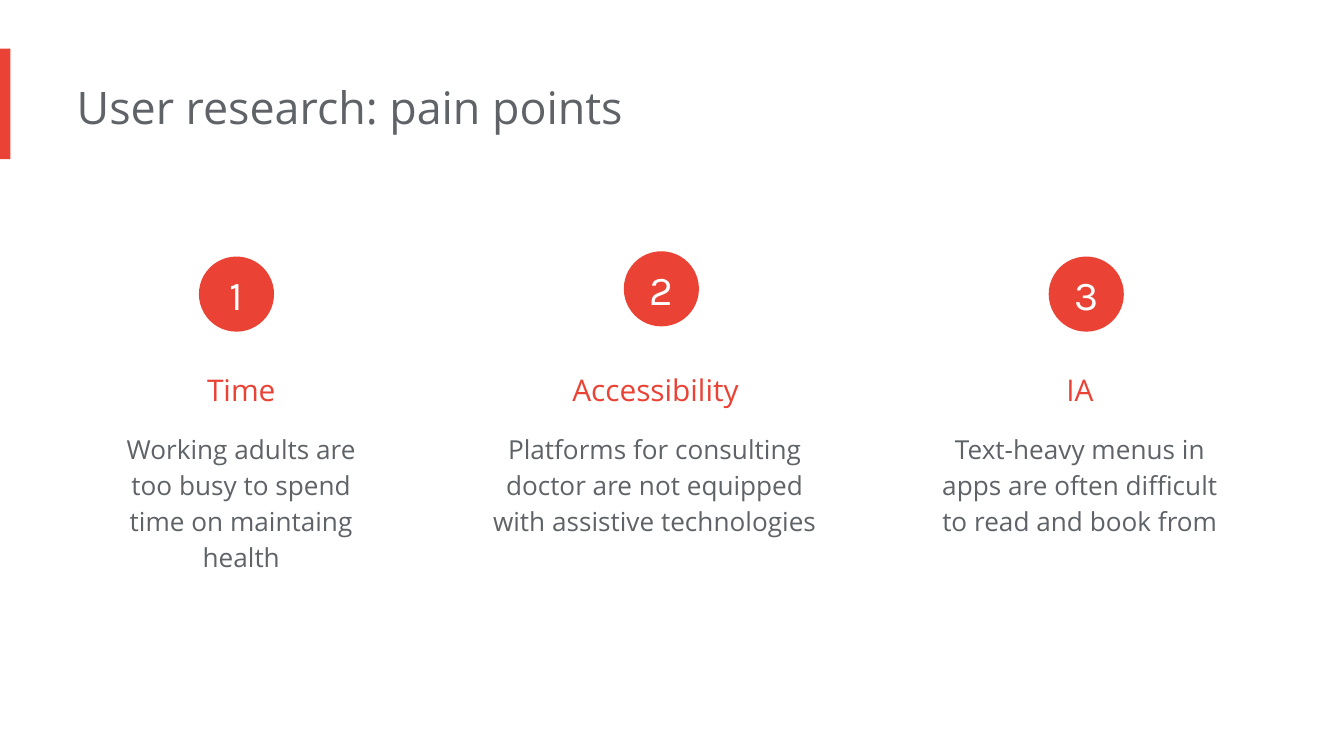
from pptx import Presentation
from pptx.dml.color import RGBColor
from pptx.enum.shapes import MSO_SHAPE as SHAPE
from pptx.enum.text import MSO_ANCHOR as ANCHOR, MSO_AUTO_SIZE as FIT, PP_ALIGN as ALIGN
from pptx.util import Cm, Pt

COLORS = {"accent": "EA4335", "text": "5F6368", "white": "FFFFFF"}


class Deck:
    """Holds the style and the current slide."""

    font = "Open Sans"
    number_font = "Karla"

    def __init__(self, prs):
        self.s = prs.slides.add_slide(prs.slide_layouts[6])

    def color(self, name):
        return RGBColor.from_string(COLORS[name])

    def style(self, p, size, color, font, align):
        p.alignment = align
        p.font.size = Pt(size)
        p.font.name = font
        p.font.color.rgb = self.color(color)

    def shape(self, kind, x, y, w, h):
        sp = self.s.shapes.add_shape(kind, Cm(x), Cm(y), Cm(w), Cm(h))
        sp.shadow.inherit = False
        sp.fill.solid()
        sp.fill.fore_color.rgb = self.color("accent")
        sp.line.fill.background()
        return sp

    def badge(self, number, x, y, d=1.42):
        tf = self.shape(SHAPE.OVAL, x, y, d, d).text_frame
        tf.margin_left = tf.margin_right = tf.margin_top = tf.margin_bottom = 0
        tf.vertical_anchor = ANCHOR.MIDDLE
        p = tf.paragraphs[0]
        p.text = str(number)
        self.style(p, 22, "white", self.number_font, ALIGN.CENTER)

    def text(self, text, x, y, w, h, size, color="text", align=ALIGN.CENTER, spacing=None):
        tf = self.s.shapes.add_textbox(Cm(x), Cm(y), Cm(w), Cm(h)).text_frame
        tf.word_wrap = True
        tf.auto_size = FIT.SHAPE_TO_FIT_TEXT
        tf.margin_left = 0
        tf.margin_right = tf.margin_top = tf.margin_bottom = Cm(0.25)
        p = tf.paragraphs[0]
        p.text = text
        p.line_spacing = spacing
        self.style(p, size, color, self.font, align)


def main():
    prs = Presentation()
    prs.slide_width, prs.slide_height = Cm(25.4), Cm(14.29)
    deck = Deck(prs)
    deck.shape(SHAPE.RECTANGLE, 0, 0.92, 0.2, 2.09)
    deck.text("User research: pain points", 1.45, 1.25, 17.09, 1.55, 24, align=ALIGN.LEFT)

    pains = [
        ("Time", "Working adults are too busy to spend time on maintaing health",
         2.08, 2.08, 5.21, 3.28, 4.85),
        ("Accessibility", "Platforms for consulting doctor are not equipped with assistive technologies",
         9.91, 9.07, 6.86, 2.57, 4.75),
        ("IA", "Text-heavy menus in apps are often difficult to read and book from",
         17.93, 17.73, 5.61, 2.57, 4.85),
    ]
    for i, (title, body, title_x, body_x, body_w, body_h, badge_y) in enumerate(pains):
        deck.text(title, title_x, 6.43, 5.21, 1.19, 16, "accent", spacing=1.5)
        deck.text(body, body_x, 7.85, body_w, body_h, 14, spacing=1.15)
        deck.badge(i + 1, 3.76 + 8.03 * i, badge_y)

    prs.save("out.pptx")


if __name__ == "__main__":
    main()
